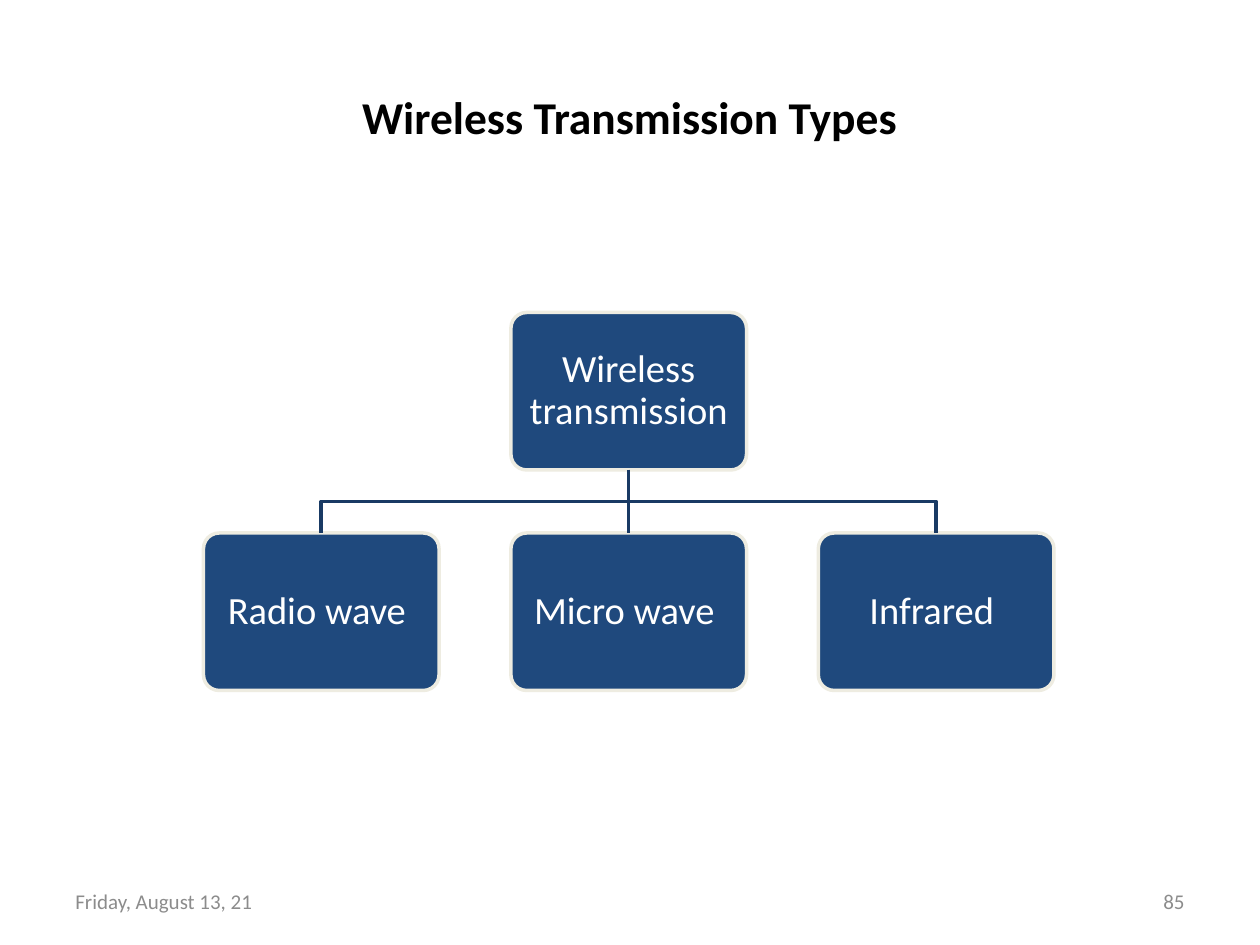
from dataclasses import dataclass

from lxml.etree import SubElement
from pptx import Presentation
from pptx.dml.color import RGBColor
from pptx.enum.shapes import MSO_CONNECTOR, MSO_SHAPE
from pptx.enum.text import MSO_ANCHOR, PP_ALIGN
from pptx.oxml.ns import qn
from pptx.util import Inches, Pt


@dataclass(frozen=True)
class Theme:
    """Colours, font and type sizes of the slide."""
    font: str = "Calibri"
    title: str = "000000"
    footer: str = "8C8C8C"
    box: str = "1F497D"
    box_line: str = "EEECE1"
    box_text: str = "FFFFFF"
    link: str = "193A64"
    title_size: int = 26
    box_size: int = 22
    footer_size: int = 12
    line_width: int = 2


THEME = Theme()
BOX_W, BOX_H = 1.87, 1.25
CENTER_X, PITCH = 4.99, 2.44
ROOT_TOP, CHILD_TOP = 2.48, 4.23
CHILDREN = ("Radio wave ", "Micro wave ", "Infrared ")


def write_text(sp, text, *, size, color, bold=False, align=PP_ALIGN.LEFT,
               spacing=1.0, inset=None):
    """Put one formatted paragraph in a shape."""
    tf = sp.text_frame
    tf.word_wrap = True
    tf.vertical_anchor = MSO_ANCHOR.MIDDLE
    if inset is not None:
        tf.margin_left = tf.margin_right = Inches(inset)
        tf.margin_top = tf.margin_bottom = Inches(inset)
    p = tf.paragraphs[0]
    p.alignment = align
    p.line_spacing = spacing
    r = p.add_run()
    r.text = text
    r.font.name = THEME.font
    r.font.size = Pt(size)
    r.font.bold = bold
    r.font.color.rgb = RGBColor.from_string(color)


def add_label(s, text, left, top, width, height, **fmt):
    """Add a text box."""
    sp = s.shapes.add_textbox(Inches(left), Inches(top), Inches(width), Inches(height))
    write_text(sp, text, **fmt)


def set_line(line, color):
    """Give a line the theme width and a colour."""
    line.color.rgb = RGBColor.from_string(color)
    line.width = Pt(THEME.line_width)


def add_box(s, text, center, top):
    """Add a rounded box centred on a horizontal position."""
    sp = s.shapes.add_shape(MSO_SHAPE.ROUNDED_RECTANGLE, Inches(center - BOX_W / 2),
                            Inches(top), Inches(BOX_W), Inches(BOX_H))
    sp.adjustments[0] = 0.1
    sp.shadow.inherit = False
    sp.fill.solid()
    sp.fill.fore_color.rgb = RGBColor.from_string(THEME.box)
    set_line(sp.line, THEME.box_line)
    write_text(sp, text, size=THEME.box_size, color=THEME.box_text,
               align=PP_ALIGN.CENTER, spacing=0.9, inset=0.08)
    return sp


def add_straight_link(s, parent, child):
    """Join a parent's bottom to the top of the child below it."""
    cxn = s.shapes.add_connector(MSO_CONNECTOR.STRAIGHT, 0, 0, 0, 0)
    cxn.begin_connect(parent, 2)
    cxn.end_connect(child, 0)
    set_line(cxn.line, THEME.link)
    SubElement(cxn._element.spPr, qn("a:effectLst"))


def add_bent_link(s, parent, child):
    """Draw a stepped line from a parent's bottom to a child's top."""
    x1, y1 = parent.left + parent.width // 2, parent.top + parent.height
    x2, y2 = child.left + child.width // 2, child.top
    mid = (y1 + y2) // 2
    fb = s.shapes.build_freeform(x1, y1)
    fb.add_line_segments([(x1, mid), (x2, mid), (x2, y2)], close=False)
    sp = fb.convert_to_shape()
    sp.shadow.inherit = False
    sp.fill.background()
    set_line(sp.line, THEME.link)


def add_tree(s):
    """Add the root box, its children and their links."""
    root = add_box(s, "Wireless transmission ", CENTER_X, ROOT_TOP)
    middle = len(CHILDREN) // 2
    for i, text in enumerate(CHILDREN):
        child = add_box(s, text, CENTER_X + (i - middle) * PITCH, CHILD_TOP)
        link = add_straight_link if i == middle else add_bent_link
        link(s, root, child)


def main():
    """Build and save the slide."""
    prs = Presentation()
    prs.slide_width, prs.slide_height = Inches(10), Inches(7.5)
    s = prs.slides.add_slide(prs.slide_layouts[6])
    add_label(s, "Wireless Transmission Types", 0.5, 0.3, 9, 1.25, size=THEME.title_size,
              color=THEME.title, bold=True, align=PP_ALIGN.CENTER)
    footer = {"size": THEME.footer_size, "color": THEME.footer}
    add_label(s, "Friday, August 13, 21", 0.5, 6.95, 2.33, 0.4, **footer)
    add_label(s, "85", 7.17, 6.95, 2.33, 0.4, align=PP_ALIGN.RIGHT, **footer)
    add_tree(s)
    prs.save("out.pptx")


if __name__ == "__main__":
    main()
